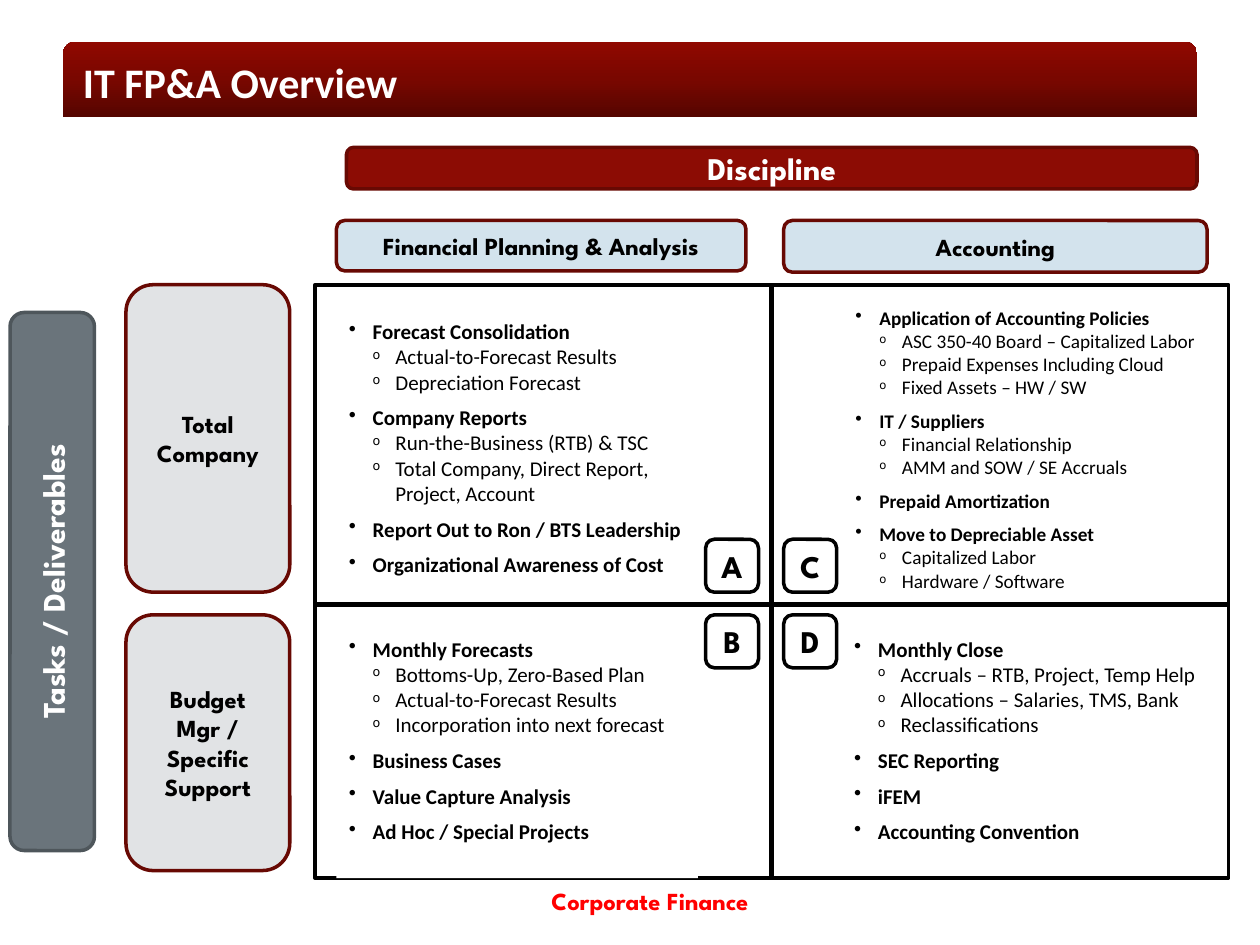
from copy import deepcopy
from typing import NamedTuple

from lxml.etree import SubElement
from pptx import Presentation
from pptx.dml.color import RGBColor
from pptx.enum.shapes import MSO_CONNECTOR, MSO_SHAPE
from pptx.enum.text import MSO_ANCHOR, PP_ALIGN
from pptx.oxml.ns import qn
from pptx.util import Inches, Pt

BLACK = RGBColor(0x00, 0x00, 0x00)
WHITE = RGBColor(0xFF, 0xFF, 0xFF)
RED = RGBColor(0xFF, 0x00, 0x00)
BRICK = RGBColor(0x8C, 0x0C, 0x04)
MAROON = RGBColor(0x68, 0x09, 0x03)
SLATE = RGBColor(0x6A, 0x74, 0x7B)
DARK_SLATE = RGBColor(0x4E, 0x56, 0x5B)
PALE_BLUE = RGBColor(0xD3, 0xE3, 0xED)
PALE_GREY = RGBColor(0xE1, 0xE3, 0xE5)
BANNER_STOPS = ((0, RGBColor(0x55, 0x05, 0x00)),
                (0.5, RGBColor(0x79, 0x07, 0x00)),
                (1, RGBColor(0x90, 0x08, 0x00)))

HEADING_FONT, BODY_FONT = "League Spartan", "Calibri"

# The page is a grid of 100 columns by 75 rows
WIDTH, HEIGHT = Inches(10), Inches(7.5)
COLUMN, ROW = WIDTH / 100, HEIGHT / 75


class Place(NamedTuple):
    column: float
    row: float
    columns: float
    rows: float

    def lengths(self) -> tuple[int, ...]:
        return tuple(round(count * unit)
                     for count, unit in zip(self, (COLUMN, ROW, COLUMN, ROW)))


class Label(NamedTuple):
    text: str
    place: Place
    fill: RGBColor
    line: RGBColor
    size: int
    color: RGBColor = BLACK
    rotation: int = 0


class Topic(NamedTuple):
    heading: str
    details: tuple[str, ...] = ()


class Panel(NamedTuple):
    place: Place
    size: int
    topics: tuple[Topic, ...]


class Level(NamedTuple):
    bold: bool
    space_before: int
    margin: float
    hanging: float
    bullet: str
    bullet_share: int


TOPIC_LEVEL = Level(True, 6, 0.19, 0.19, "•", 100)
DETAIL_LEVEL = Level(False, 0, 0.37, 0.18, "o", 60)

# Task matrix: two disciplines across, two scopes down
MATRIX = Place(25, 22.6, 72.5, 47.1)
MIDDLE_COLUMN = MATRIX.column + MATRIX.columns / 2
MIDDLE_ROW = 48
BADGE = 4.2
BADGE_COLUMNS, BADGE_ROWS = (56, 62.2), (42.8, 48.8)
BADGES = [
    Label(letter, Place(BADGE_COLUMNS[index // 2], BADGE_ROWS[index % 2], BADGE, BADGE),
          WHITE, BLACK, 18)
    for index, letter in enumerate("ABCD")
]

HEADERS = [
    Label("Discipline", Place(27.5, 11.7, 67.5, 3.3), BRICK, MAROON, 18, WHITE),
    Label("Tasks / Deliverables", Place(-17.2, 42.8, 42.7, 6.7), SLATE, DARK_SLATE, 18,
          WHITE, 270),
    Label("Financial Planning & Analysis", Place(26.7, 17.5, 32.5, 4), PALE_BLUE, MAROON, 14),
    Label("Accounting", Place(62.2, 17.5, 33.6, 4.1), PALE_BLUE, MAROON, 14),
    Label("Total Company", Place(10, 22.6, 13, 24.4), PALE_GREY, MAROON, 14),
    Label("Budget Mgr / Specific Support", Place(10, 48.8, 13, 20.3), PALE_GREY, MAROON, 14),
]

COMPANY_PLANNING = Panel(Place(26.7, 24.8, 28.7, 21.7), 12, (
    Topic("Forecast Consolidation", ("Actual-to-Forecast Results", "Depreciation Forecast")),
    Topic("Company Reports", ("Run-the-Business (RTB) & TSC",
                              "Total Company, Direct Report, Project, Account")),
    Topic("Report Out to Ron / BTS Leadership"),
    Topic("Organizational Awareness of Cost"),
))
SUPPORT_PLANNING = Panel(Place(26.7, 50, 28.7, 19.7), 12, (
    Topic("Monthly Forecasts", ("Bottoms-Up, Zero-Based Plan", "Actual-to-Forecast Results",
                                "Incorporation into next forecast")),
    Topic("Business Cases"),
    Topic("Value Capture Analysis"),
    Topic("Ad Hoc / Special Projects"),
))
COMPANY_ACCOUNTING = Panel(Place(66.9, 23.8, 29.9, 23.9), 11, (
    Topic("Application of Accounting Policies", ("ASC 350-40 Board – Capitalized Labor",
                                                 "Prepaid Expenses Including Cloud",
                                                 "Fixed Assets – HW / SW")),
    Topic("IT / Suppliers", ("Financial Relationship", "AMM and SOW / SE Accruals")),
    Topic("Prepaid Amortization"),
    Topic("Move to Depreciable Asset", ("Capitalized Labor", "Hardware / Software")),
))
SUPPORT_ACCOUNTING = Panel(Place(66.8, 50, 30, 19.7), 12, (
    Topic("Monthly Close", ("Accruals – RTB, Project, Temp Help",
                            "Allocations – Salaries, TMS, Bank", "Reclassifications")),
    Topic("SEC Reporting"),
    Topic("iFEM"),
    Topic("Accounting Convention"),
))


def add_box(page, kind, place: Place, fill=None, line=None):
    box = page.shapes.add_shape(kind, *place.lengths())
    box.shadow.inherit = False
    if fill is None:
        box.fill.background()
    else:
        box.fill.solid()
        box.fill.fore_color.rgb = fill
    if line is None:
        box.line.fill.background()
    else:
        box.line.color.rgb = line
        box.line.width = Pt(2)
    return box


def write(para, text: str, font: str, size: int, color: RGBColor,
          align=PP_ALIGN.LEFT, bold: bool = True) -> None:
    para.alignment = align
    span = para.add_run()
    span.text = text
    for name, value in {"name": font, "size": Pt(size), "bold": bold}.items():
        setattr(span.font, name, value)
    span.font.color.rgb = color


def add_text(page, place: Place, text: str, anchor, *style) -> None:
    frame = page.shapes.add_textbox(*place.lengths()).text_frame
    frame.word_wrap = True
    frame.vertical_anchor = anchor
    write(frame.paragraphs[0], text, *style)


def add_label(page, label: Label) -> None:
    box = add_box(page, MSO_SHAPE.ROUNDED_RECTANGLE, label.place, label.fill, label.line)
    box.rotation = label.rotation
    box.text_frame.vertical_anchor = MSO_ANCHOR.MIDDLE
    write(box.text_frame.paragraphs[0], label.text, HEADING_FONT, label.size,
          label.color, PP_ALIGN.CENTER)


def set_level(para, level: Level) -> None:
    para.space_before = Pt(level.space_before)
    properties = para._p.get_or_add_pPr()
    properties.set("marL", str(Inches(level.margin)))
    properties.set("indent", str(-Inches(level.hanging)))
    SubElement(properties, qn("a:buSzPct"), val=str(level.bullet_share * 1000))
    SubElement(properties, qn("a:buChar"), char=level.bullet)


def add_panel(page, panel: Panel) -> None:
    frame = add_box(page, MSO_SHAPE.RECTANGLE, panel.place, WHITE).text_frame
    frame.vertical_anchor = MSO_ANCHOR.TOP
    lines = [(text, level) for topic in panel.topics
             for text, level in [(topic.heading, TOPIC_LEVEL),
                                 *((detail, DETAIL_LEVEL) for detail in topic.details)]]
    for index, (text, level) in enumerate(lines):
        para = frame.add_paragraph() if index else frame.paragraphs[0]
        para.level = int(level is DETAIL_LEVEL)
        write(para, text, BODY_FONT, panel.size, BLACK, bold=level.bold)
        set_level(para, level)


def add_divider(page, place: Place) -> None:
    left, top, width, height = place.lengths()
    divider = page.shapes.add_connector(MSO_CONNECTOR.STRAIGHT, left, top,
                                        left + width, top + height)
    divider.line.color.rgb = BLACK
    divider.line.width = Pt(3)
    SubElement(divider._element.spPr, qn("a:effectLst"))


def add_banner(page, place: Place) -> None:
    banner = add_box(page, MSO_SHAPE.ROUND_2_SAME_RECTANGLE, place)
    banner.fill.gradient()
    banner.fill.gradient_angle = 90
    first = banner._element.spPr.find(".//" + qn("a:gs"))
    first.addnext(deepcopy(first))
    for stop, (position, color) in zip(banner.fill.gradient_stops, BANNER_STOPS):
        stop.position = position
        stop.color.rgb = color


def main() -> None:
    deck = Presentation()
    deck.slide_width, deck.slide_height = WIDTH, HEIGHT
    page = deck.slides.add_slide(deck.slide_layouts[6])

    # Banner, title and footer
    add_banner(page, Place(5, 3.3, 90, 6))
    add_text(page, Place(5.6, 4, 70.8, 5), "IT FP&A Overview", MSO_ANCHOR.TOP,
             BODY_FONT, 24, WHITE)
    add_text(page, Place(26.6, 69.5, 50, 4), "Corporate Finance", MSO_ANCHOR.MIDDLE,
             HEADING_FONT, 14, RED, PP_ALIGN.CENTER)

    # Matrix with its headers, and the panels that lie over its frame
    add_panel(page, SUPPORT_ACCOUNTING)
    for label in BADGES + HEADERS:
        add_label(page, label)
    add_divider(page, Place(MATRIX.column, MIDDLE_ROW, MATRIX.columns, 0))
    add_divider(page, Place(MIDDLE_COLUMN, MATRIX.row, 0, MATRIX.rows))
    add_box(page, MSO_SHAPE.RECTANGLE, MATRIX, line=BLACK)
    for panel in (COMPANY_PLANNING, COMPANY_ACCOUNTING, SUPPORT_PLANNING):
        add_panel(page, panel)

    deck.save("out.pptx")


if __name__ == "__main__":
    main()
